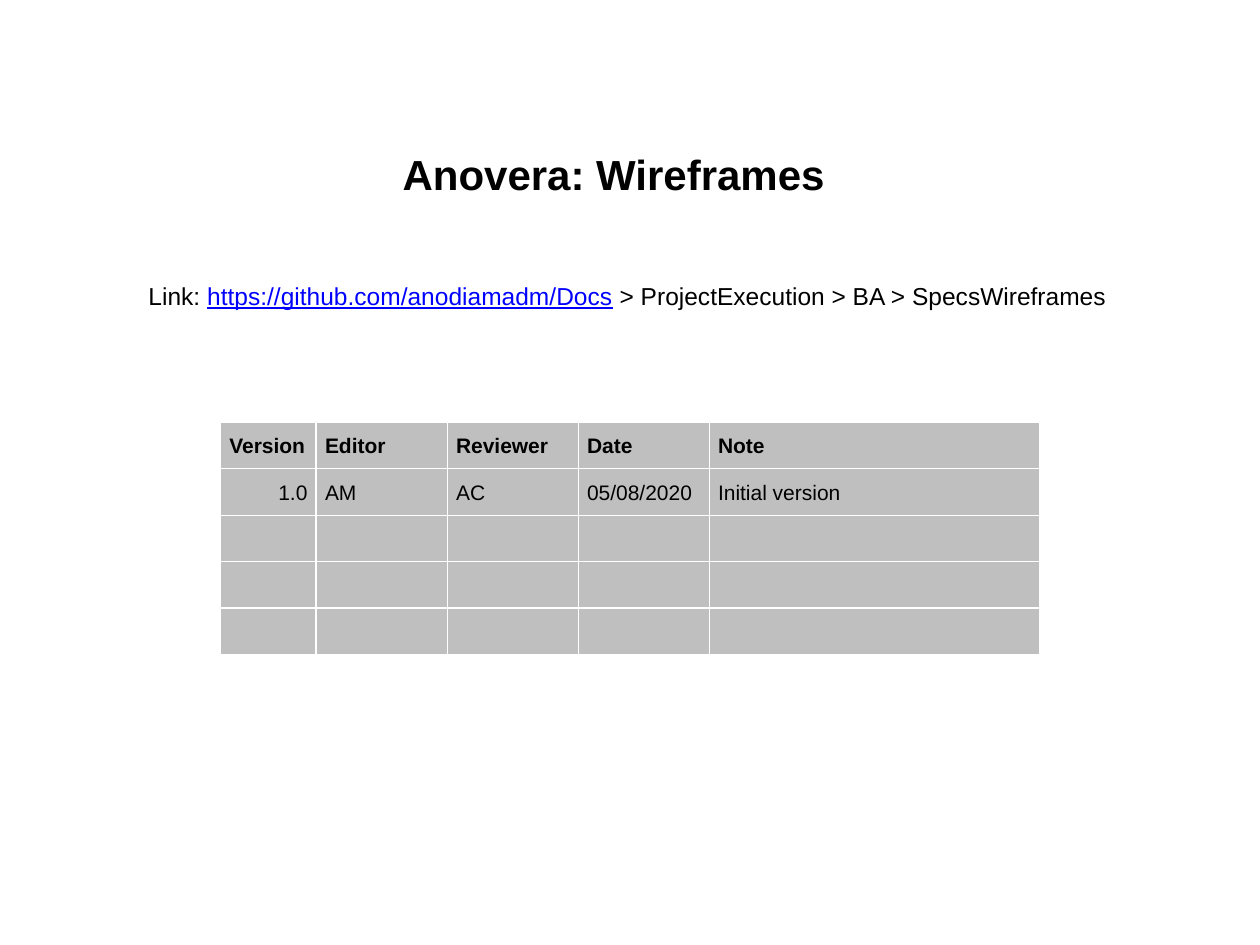
from lxml import etree
from pptx import Presentation
from pptx.dml.color import RGBColor
from pptx.enum.text import MSO_ANCHOR, PP_ALIGN
from pptx.oxml.ns import qn
from pptx.util import Inches, Pt

BLACK, BLUE, GREY, WHITE = "000000", "0000FF", "BFBFBF", "FFFFFF"
COLUMN_WIDTHS = [0.76, 1.04, 1.04, 1.04, 2.62]
VERSION_ROWS = [
    ["Version", "Editor", "Reviewer", "Date", "Note"],
    ["1.0", "AM", "AC", "05/08/2020", "Initial version"],
    *[[""] * 5 for _ in range(3)],
]


def rgb(color):
    return RGBColor.from_string(color)


def format_run(r, size, color=BLACK, bold=False, underline=False):
    r.font.name = "Arial"
    r.font.size = Pt(size)
    r.font.bold = bold
    r.font.underline = underline
    r.font.color.rgb = rgb(color)


def add_text(slide, box, parts, size, bold=False, wrap=True, spacing=1.0):
    """Place one centred line made of (text, color, underline) parts."""
    tf = slide.shapes.add_textbox(*map(Inches, box)).text_frame
    tf.word_wrap = wrap
    p = tf.paragraphs[0]
    p.alignment = PP_ALIGN.CENTER
    p.line_spacing = spacing
    for text, color, underline in parts:
        r = p.add_run()
        r.text = text
        format_run(r, size, color, bold, underline)


def set_borders(cell, color, width):
    tcPr = cell._tc.get_or_add_tcPr()
    for i, side in enumerate(("lnL", "lnR", "lnT", "lnB")):
        ln = etree.Element(qn(f"a:{side}"), w=str(Pt(width)))
        fill = etree.SubElement(ln, qn("a:solidFill"))
        etree.SubElement(fill, qn("a:srgbClr"), val=color)
        tcPr.insert(i, ln)


def fill_cell(cell, text, bold, alignment):
    cell.fill.solid()
    cell.fill.fore_color.rgb = rgb(GREY)
    set_borders(cell, WHITE, 1)
    cell.margin_left = cell.margin_right = Inches(0.07)
    cell.margin_top = cell.margin_bottom = Inches(0.07)
    cell.vertical_anchor = MSO_ANCHOR.TOP
    p = cell.text_frame.paragraphs[0]
    p.alignment = alignment
    p.line_spacing = 1.15
    if text:
        p.text = text
        format_run(p.runs[0], 12, bold=bold)
    else:
        # Keep empty rows as low as the filled ones
        etree.SubElement(p._p, qn("a:endParaRPr"), sz="1200")


def add_version_table(slide, box):
    left, top, width, height = map(Inches, box)
    table = slide.shapes.add_table(
        len(VERSION_ROWS), len(COLUMN_WIDTHS), left, top, width, height).table
    table.first_row = table.horz_banding = False
    for column, column_width in zip(table.columns, COLUMN_WIDTHS):
        column.width = Inches(column_width)
    for i, row in enumerate(VERSION_ROWS):
        for j, text in enumerate(row):
            number = i > 0 and j == 0
            fill_cell(table.cell(i, j), text, bold=i == 0,
                      alignment=PP_ALIGN.RIGHT if number else PP_ALIGN.JUSTIFY)


def main():
    prs = Presentation()
    prs.slide_width, prs.slide_height = Inches(10), Inches(7.5)
    slide = prs.slides.add_slide(prs.slide_layouts[6])

    # Title
    add_text(slide, (3.03, 1.07, 3.68, 0.53),
             [("Anovera: Wireframes", BLACK, False)],
             24, bold=True, wrap=False, spacing=1.15)

    # Location of the documents
    add_text(slide, (0.47, 2.18, 9.02, 0.34), [
        ("Link: ", BLACK, False),
        ("https://github.com/anodiamadm/Docs", BLUE, True),
        (" > ProjectExecution > BA > SpecsWireframes", BLACK, False),
    ], 14)

    # Version history
    add_version_table(slide, (1.75, 3.35, 6.5, 1.84))

    prs.save("out.pptx")


if __name__ == "__main__":
    main()
